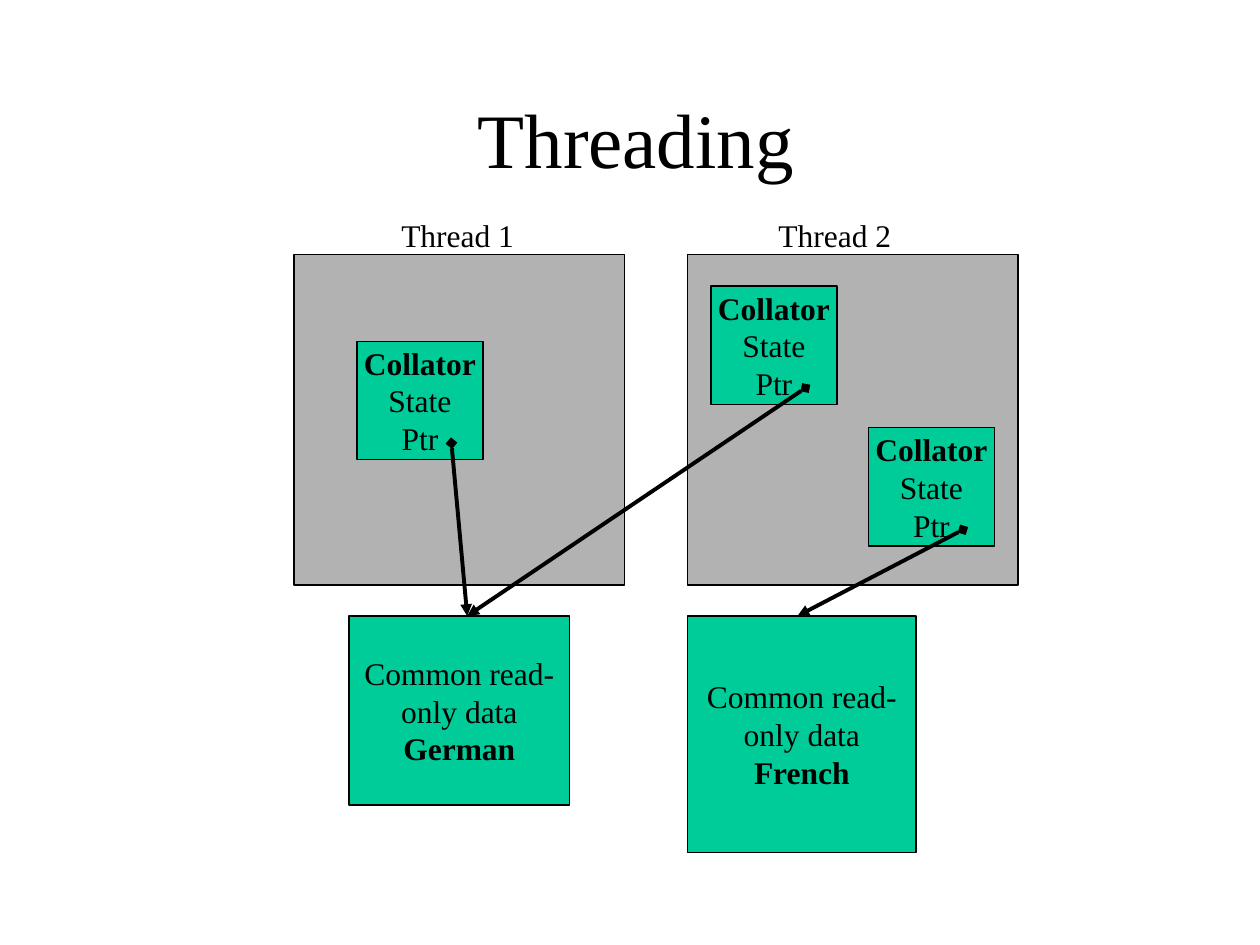
from dataclasses import dataclass

from lxml import etree
from pptx import Presentation
from pptx.dml.color import RGBColor
from pptx.enum.shapes import MSO_CONNECTOR, MSO_SHAPE
from pptx.enum.text import MSO_ANCHOR, PP_ALIGN
from pptx.oxml.ns import qn
from pptx.shapes.autoshape import Shape
from pptx.slide import Slide
from pptx.text.text import TextFrame
from pptx.util import Pt

BLACK = RGBColor(0x00, 0x00, 0x00)
GRAY = RGBColor(0xB2, 0xB2, 0xB2)
GREEN = RGBColor(0x00, 0xCC, 0x99)
FONT = "Times New Roman"

RECTANGLE = MSO_SHAPE.RECTANGLE
STRAIGHT = MSO_CONNECTOR.STRAIGHT
MIDDLE = MSO_ANCHOR.MIDDLE
CENTER, LEFT = PP_ALIGN.CENTER, PP_ALIGN.LEFT

THREAD_TOP, THREAD_SIZE = 145.5, 188.75
LABEL_TOP, LABEL_WIDTH, LABEL_HEIGHT = 119.75, 84, 28.8
DATA_TOP = 352
COLLATOR_WIDTH, COLLATOR_HEIGHT = 72, 67.5
POINTER_X, POINTER_Y = 54, 58.25


@dataclass(frozen=True)
class Line:
    text: str
    bold: bool = False


@dataclass(frozen=True)
class Thread:
    name: str
    left: float
    label_left: float


@dataclass(frozen=True)
class Data:
    language: str
    left: float
    width: float
    height: float
    target_x: float


@dataclass(frozen=True)
class Collator:
    left: float
    top: float
    data: Data


THREADS = [Thread("Thread 1", 168, 222.25), Thread("Thread 2", 393, 437.75)]
GERMAN = Data("German", 199.5, 126, 108, 267)
FRENCH = Data("French", 393, 130.5, 135, 455.75)
COLLATORS = [
    Collator(204, 195, GERMAN),
    Collator(406.25, 163.5, GERMAN),
    Collator(496.25, 244.5, FRENCH),
]
COLLATOR_LINES = [Line("Collator", True), Line("State"), Line("Ptr")]


def write_lines(frame: TextFrame, lines: list[Line], size: float, alignment: PP_ALIGN) -> None:
    """Write one paragraph per line; a newline inside a line is a soft break."""
    for index, line in enumerate(lines):
        paragraph = frame.add_paragraph() if index else frame.paragraphs[0]
        paragraph.alignment = alignment
        for part_index, part in enumerate(line.text.split("\n")):
            if part_index:
                paragraph.add_line_break()
            run = paragraph.add_run()
            run.text = part
            run.font.name = FONT
            run.font.size = Pt(size)
            run.font.bold = line.bold
            run.font.color.rgb = BLACK


def add_box(slide: Slide, left: float, top: float, width: float, height: float,
            color: RGBColor) -> Shape:
    shape = slide.shapes.add_shape(RECTANGLE, Pt(left), Pt(top), Pt(width), Pt(height))
    shape.shadow.inherit = False
    shape.fill.solid()
    shape.fill.fore_color.rgb = color
    shape.line.color.rgb = BLACK
    shape.line.width = Pt(0.75)
    return shape


def add_text_box(slide: Slide, left: float, top: float, width: float, height: float) -> TextFrame:
    frame = slide.shapes.add_textbox(Pt(left), Pt(top), Pt(width), Pt(height)).text_frame
    frame.word_wrap = True
    return frame


def add_title(slide: Slide, text: str) -> None:
    frame = add_text_box(slide, 72.5, 48.25, 581.75, 60.5)
    frame.vertical_anchor = MIDDLE
    write_lines(frame, [Line(text)], 44, CENTER)


def add_thread(slide: Slide, thread: Thread) -> None:
    add_box(slide, thread.left, THREAD_TOP, THREAD_SIZE, THREAD_SIZE, GRAY)
    frame = add_text_box(slide, thread.label_left, LABEL_TOP, LABEL_WIDTH, LABEL_HEIGHT)
    write_lines(frame, [Line(thread.name)], 18, LEFT)


def add_green_box(slide: Slide, left: float, top: float, width: float, height: float,
                  lines: list[Line]) -> None:
    frame = add_box(slide, left, top, width, height, GREEN).text_frame
    frame.word_wrap = False
    frame.vertical_anchor = MIDDLE
    write_lines(frame, lines, 18, CENTER)


def add_data(slide: Slide, data: Data) -> None:
    lines = [Line("Common read-\nonly data"), Line(data.language, True)]
    add_green_box(slide, data.left, DATA_TOP, data.width, data.height, lines)


def add_collator(slide: Slide, collator: Collator) -> None:
    """Draw a collator box and the pointer from it to its shared data."""
    add_green_box(slide, collator.left, collator.top, COLLATOR_WIDTH, COLLATOR_HEIGHT,
                  COLLATOR_LINES)
    pointer = slide.shapes.add_connector(
        STRAIGHT, Pt(collator.left + POINTER_X), Pt(collator.top + POINTER_Y),
        Pt(collator.data.target_x), Pt(DATA_TOP))
    pointer.line.color.rgb = BLACK
    pointer.line.width = Pt(2.25)
    properties = pointer.element.find(qn("p:spPr"))
    outline = properties.find(qn("a:ln"))
    etree.SubElement(outline, qn("a:headEnd"), type="diamond")
    etree.SubElement(outline, qn("a:tailEnd"), type="triangle")
    etree.SubElement(properties, qn("a:effectLst"))


def main() -> None:
    presentation = Presentation()
    presentation.slide_width, presentation.slide_height = Pt(720), Pt(540)
    slide = presentation.slides.add_slide(presentation.slide_layouts[6])
    add_title(slide, "Threading")
    for thread in THREADS:
        add_thread(slide, thread)
    for data in (GERMAN, FRENCH):
        add_data(slide, data)
    for collator in COLLATORS:
        add_collator(slide, collator)
    presentation.save("out.pptx")


if __name__ == "__main__":
    main()
